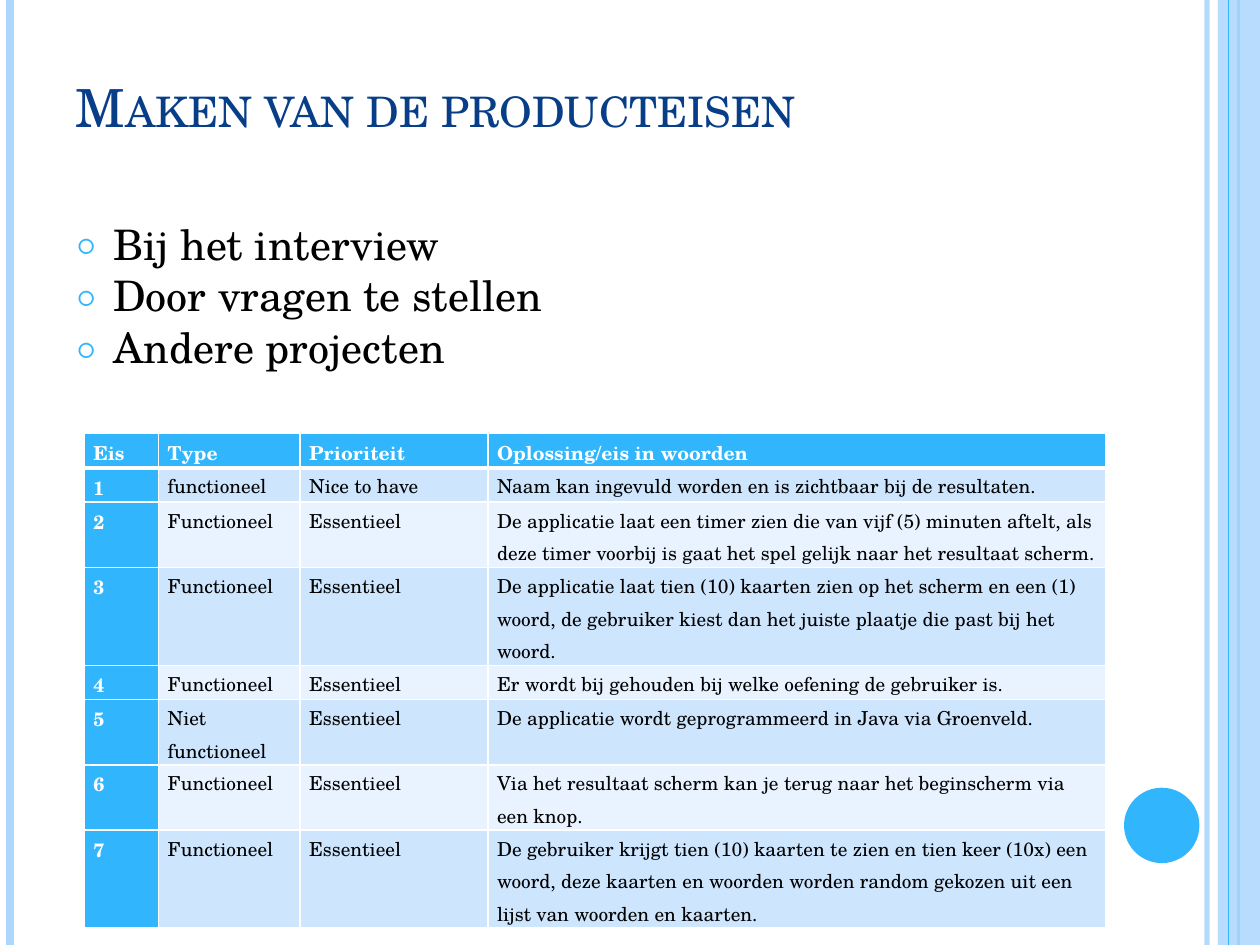
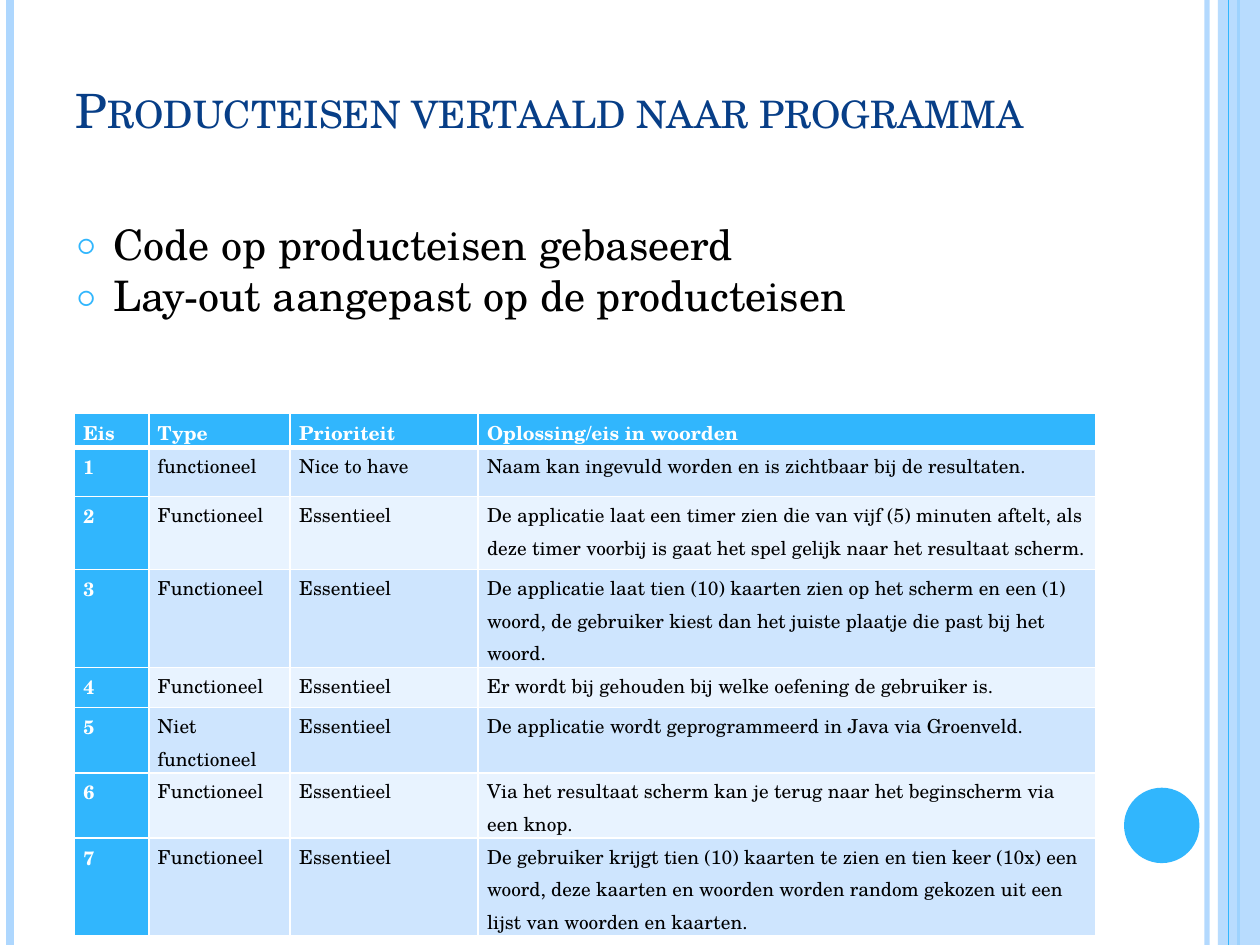
from lxml.etree import SubElement
from pptx import Presentation
from pptx.dml.color import RGBColor
from pptx.enum.shapes import MSO_CONNECTOR, MSO_SHAPE
from pptx.enum.text import MSO_ANCHOR, MSO_AUTO_SIZE, PP_ALIGN
from pptx.oxml import parse_xml
from pptx.oxml.ns import nsdecls, qn
from pptx.util import Cm, Pt

WIDTH, HEIGHT = 25.4, 19.05
FONT = "TeX Gyre Schola"
ACCENT, PALE, NAVY = "31B6FD", "AED7FE", "073E87"
BAND_DARK, BAND_LIGHT = "CEE5FE", "E8F3FF"
WHITE, BLACK = "FFFFFF", "000000"


def color(hex_value):
    return RGBColor.from_string(hex_value)


def write(paragraph, text, size=11, ink=BLACK, bold=False, small_caps=False,
          spacing=None, before=0, align=PP_ALIGN.LEFT):
    """Add one formatted run to a paragraph."""
    run = paragraph.add_run()
    run.text = text
    run.font.name, run.font.size, run.font.bold = FONT, Pt(size), bold
    run.font.color.rgb = color(ink)
    if small_caps:
        run._r.get_or_add_rPr().set("cap", "small")
    paragraph.alignment = align
    paragraph.space_before = Pt(before)
    if spacing:
        paragraph.line_spacing = spacing


def set_alpha(owner, percent):
    """Make the solid fill inside an element partly transparent."""
    rgb = next(owner.iter(qn("a:srgbClr")))
    SubElement(rgb, qn("a:alpha")).set("val", str(percent * 1000))


def add_bullet(paragraph):
    properties = paragraph._p.get_or_add_pPr()
    properties.set("marL", str(Cm(0.76)))
    properties.set("indent", str(-Cm(0.76)))
    for xml in (f'<a:buClr {nsdecls("a")}><a:srgbClr val="{ACCENT}"/></a:buClr>',
                f'<a:buSzPct {nsdecls("a")} val="70000"/>',
                f'<a:buFont {nsdecls("a")} typeface="{FONT}"/>',
                f'<a:buChar {nsdecls("a")} char="○"/>'):
        properties.append(parse_xml(xml))


def set_borders(cell, top=1, bottom=1):
    """White cell borders; widths in points."""
    properties = cell._tc.get_or_add_tcPr()
    widths = {"lnL": 1, "lnR": 1, "lnT": top, "lnB": bottom}
    for position, (side, width) in enumerate(widths.items()):
        properties.insert(position, parse_xml(
            f'<a:{side} {nsdecls("a")} w="{Pt(width)}"><a:solidFill>'
            f'<a:srgbClr val="{WHITE}"/></a:solidFill></a:{side}>'))


class Deck:
    def __init__(self):
        self.presentation = Presentation()
        self.presentation.slide_width = Cm(WIDTH)
        self.presentation.slide_height = Cm(HEIGHT)
        self.layout = self.presentation.slide_layouts[1]
        self.slide = None

    def new_slide(self):
        self.slide = self.presentation.slides.add_slide(self.layout)

    def share(self, shape):
        """Move a decoration to the layout, where all slides show it."""
        self.layout.shapes._spTree.append(shape._element)

    def stripe(self, x, width, ink, alpha=None):
        line = self.slide.shapes.add_connector(
            MSO_CONNECTOR.STRAIGHT, Cm(x), 0, Cm(x), Cm(HEIGHT))
        line.line.width = Pt(width)
        line.line.color.rgb = color(ink)
        if alpha:
            set_alpha(line._element.spPr, alpha)
        SubElement(line._element.spPr, qn("a:effectLst"))
        self.share(line)

    def block(self, kind, x, y, width, height, fill, alpha=None):
        shape = self.slide.shapes.add_shape(
            kind, Cm(x), Cm(y), Cm(width), Cm(height))
        shape.shadow.inherit = False
        shape.fill.solid()
        shape.fill.fore_color.rgb = color(fill)
        shape.line.fill.background()
        if alpha:
            set_alpha(shape._element.spPr, alpha)
        self.share(shape)

    def decorate(self):
        self.stripe(24.33, 3, PALE, alpha=93)
        self.stripe(0.21, 4.5, PALE)
        self.stripe(24.97, 1.5, ACCENT)
        self.block(MSO_SHAPE.RECTANGLE, 24.55, 0, 0.85, HEIGHT, PALE, alpha=87)
        self.stripe(24.77, 0.75, ACCENT)
        self.block(MSO_SHAPE.OVAL, 22.66, 15.88, 1.52, 1.52, ACCENT)

    def place(self, holder, top, height, anchor):
        """Move a placeholder to the text column and return its frame."""
        holder.left, holder.top = Cm(1.27), Cm(top)
        holder.width, holder.height = Cm(20.75), Cm(height)
        frame = holder.text_frame
        frame.word_wrap = True
        frame.auto_size = MSO_AUTO_SIZE.NONE
        frame.vertical_anchor = anchor
        return frame

    def title(self, text, size):
        frame = self.place(self.slide.shapes.title, 0.76, 3.18, MSO_ANCHOR.BOTTOM)
        frame.margin_bottom = Cm(1.15)
        write(frame.paragraphs[0], text, size=size, ink=NAVY, small_caps=True)

    def bullets(self, items):
        frame = self.place(self.slide.placeholders[1], 4.45, 13.55, MSO_ANCHOR.TOP)
        for index, item in enumerate(items):
            paragraph = frame.add_paragraph() if index else frame.paragraphs[0]
            write(paragraph, item, size=24, spacing=0.82, before=6)
            add_bullet(paragraph)

    def table(self, x, y, rows, column_widths, row_heights):
        table = self.slide.shapes.add_table(
            len(rows), len(column_widths), Cm(x), Cm(y),
            Cm(sum(column_widths)), Cm(sum(row_heights))).table
        table.horz_banding = False
        for column, width in zip(table.columns, column_widths):
            column.width = Cm(width)
        for r, (values, height) in enumerate(zip(rows, row_heights)):
            table.rows[r].height = Cm(height)
            for c, value in enumerate(values):
                cell = table.cell(r, c)
                heading = r == 0 or c == 0
                band = BAND_DARK if r % 2 else BAND_LIGHT
                cell.margin_left = cell.margin_right = Cm(0.18)
                cell.margin_top = cell.margin_bottom = 0
                cell.fill.solid()
                cell.fill.fore_color.rgb = color(ACCENT if heading else band)
                set_borders(cell, top=3 if r == 1 else 1, bottom=3 if r == 0 else 1)
                write(cell.text_frame.paragraphs[0], value, bold=heading,
                      ink=WHITE if heading else BLACK, spacing=1.15)


# Product requirements, shown on both slides
REQUIREMENTS = [
    ("functioneel", "Nice to have",
     "Naam kan ingevuld worden en is zichtbaar bij de resultaten."),
    ("Functioneel", "Essentieel",
     "De applicatie laat een timer zien die van vijf (5) minuten aftelt, als "
     "deze timer voorbij is gaat het spel gelijk naar het resultaat scherm."),
    ("Functioneel", "Essentieel",
     "De applicatie laat tien (10) kaarten zien op het scherm en een (1) woord, "
     "de gebruiker kiest dan het juiste plaatje die past bij het woord."),
    ("Functioneel", "Essentieel",
     "Er wordt bij gehouden bij welke oefening de gebruiker is."),
    ("Niet functioneel", "Essentieel",
     "De applicatie wordt geprogrammeerd in Java via Groenveld."),
    ("Functioneel", "Essentieel",
     "Via het resultaat scherm kan je terug naar het beginscherm via een knop."),
    ("Functioneel", "Essentieel",
     "De gebruiker krijgt tien (10) kaarten te zien en tien keer (10x) een woord, "
     "deze kaarten en woorden worden random gekozen uit een lijst van woorden "
     "en kaarten."),
]
ROWS = [("Eis", "Type", "Prioriteit", "Oplossing/eis in woorden")]
ROWS += [(str(number), *requirement)
         for number, requirement in enumerate(REQUIREMENTS, 1)]
COLUMN_WIDTHS = [1.5, 2.85, 3.79, 12.45]

deck = Deck()

# Slide 1: making the requirements
deck.new_slide()
deck.decorate()
deck.title("Maken van de producteisen", size=30)
deck.bullets(["Bij het interview", "Door vragen te stellen", "Andere projecten"])
deck.table(1.7, 8.74, ROWS, COLUMN_WIDTHS,
           [0.56, 0.56, 1.14, 1.14, 0.56, 0.86, 0.56, 1.42])

# Slide 2: from requirements to program
deck.new_slide()
deck.title("Producteisen vertaald naar programma", size=27)
deck.bullets(["Code op producteisen gebaseerd",
              "Lay-out aangepast op de producteisen"])
deck.table(1.5, 8.33, ROWS, COLUMN_WIDTHS,
           [0.48, 0.99, 1.47, 1.47, 0.81, 1.22, 0.99, 1.63])

deck.presentation.save("out.pptx")
